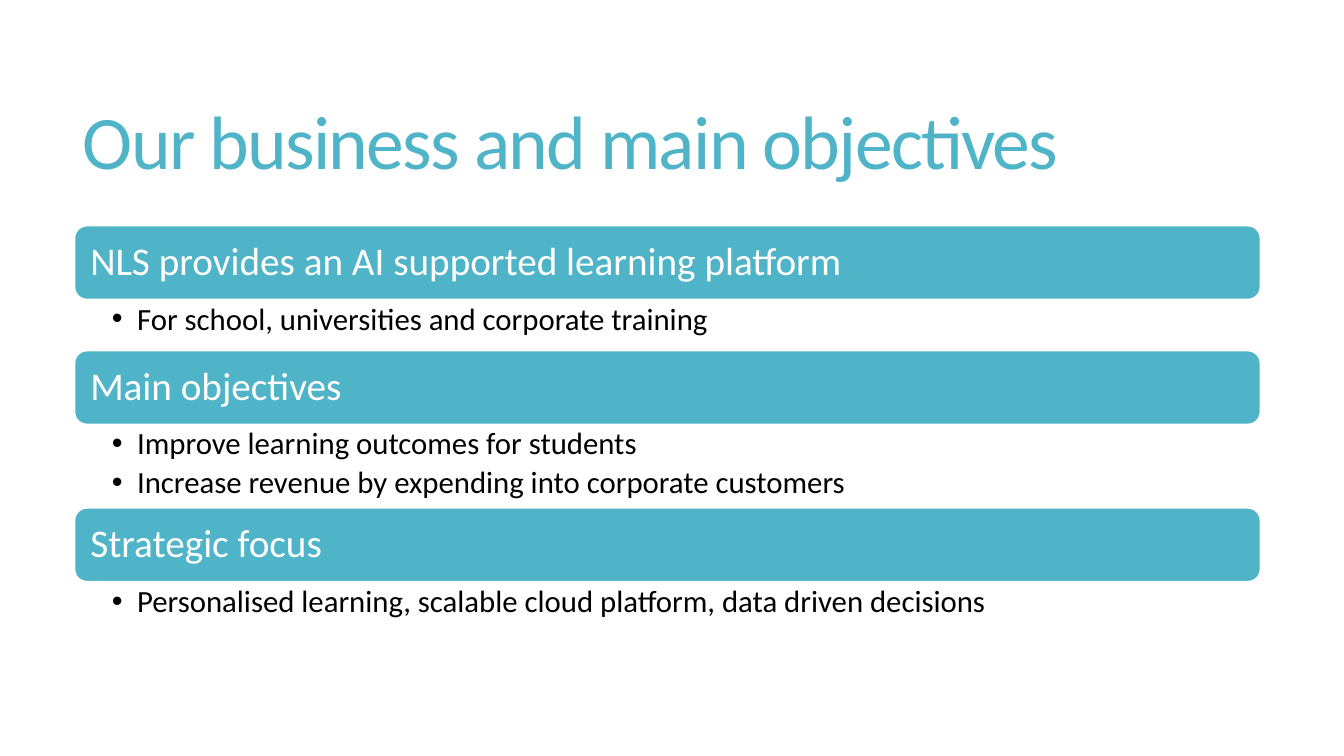
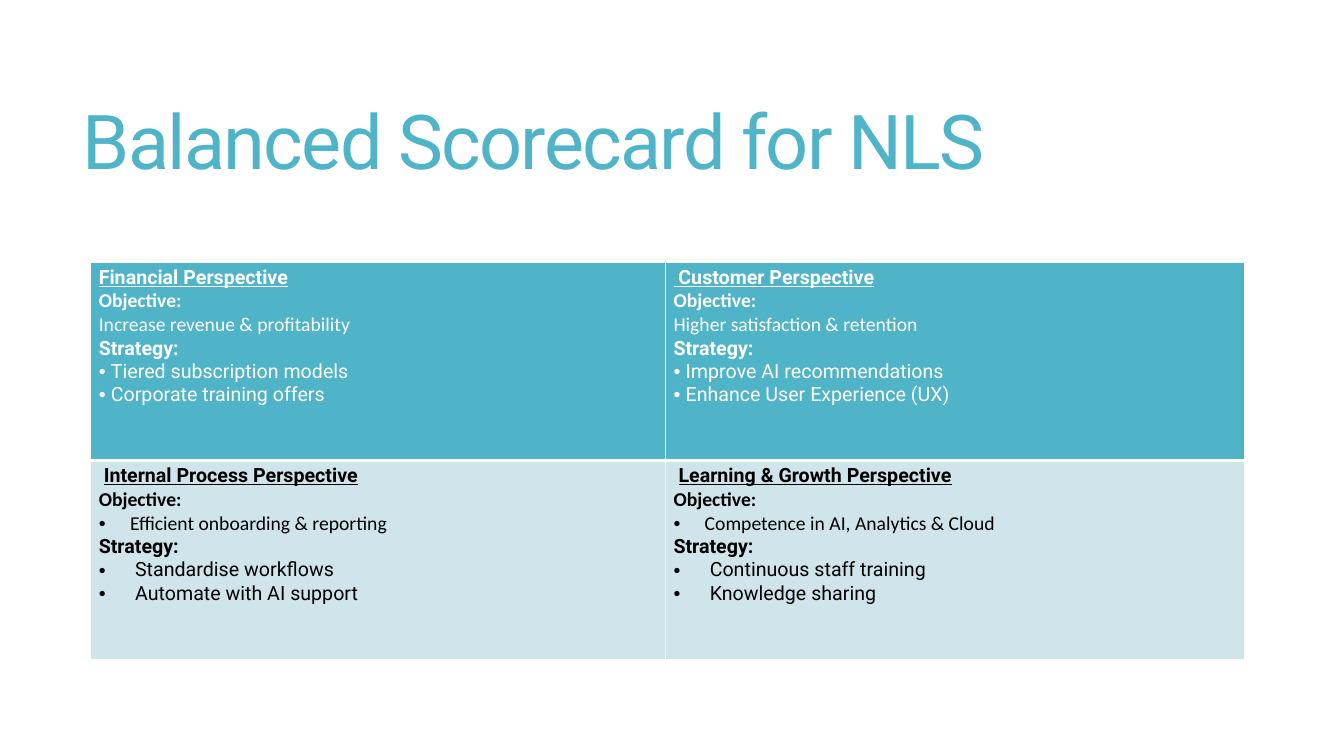
from lxml.etree import SubElement
from pptx import Presentation
from pptx.dml.color import RGBColor
from pptx.enum.shapes import MSO_SHAPE
from pptx.enum.text import MSO_ANCHOR, MSO_AUTO_SIZE, PP_ALIGN
from pptx.oxml.ns import qn
from pptx.util import Inches, Pt

TEAL, PALE, WHITE, BLACK = "50B4C8", "D0E5EB", "FFFFFF", "000000"
SANS, ROBOTO = "Calibri", "Roboto"
TITLE_ONLY = 5

BAND_LEFT, BAND_WIDTH, BAND_HEIGHT = 0.74, 11.76, 0.73
SECTIONS_TOP = 2.24
DETAIL_PADDING, DETAIL_LINE = 0.19, 0.32

SECTIONS = [
    ("NLS provides an AI supported learning platform",
     ["For school, universities and corporate training"]),
    ("Main objectives",
     ["Improve learning outcomes for students",
      "Increase revenue by expending into corporate customers"]),
    ("Strategic focus",
     ["Personalised learning, scalable cloud platform, data driven decisions"]),
]

ROW_STYLES = [
    {"fill": TEAL, "color": WHITE, "heading_indent": 0,
     "objective_indent": 0, "strategy_indent": 0.12, "edges": (1, 3)},
    {"fill": PALE, "color": BLACK, "heading_indent": 0.05,
     "objective_indent": 0.31, "strategy_indent": 0.36, "edges": (3, 1)},
]

SCORECARD = [
    [("Financial Perspective", "Increase revenue & profitability",
      ["Tiered subscription models", "Corporate training offers"]),
     (" Customer Perspective", "Higher satisfaction & retention",
      ["Improve AI recommendations", "Enhance User Experience (UX)"])],
    [("Internal Process Perspective", "Efficient onboarding & reporting",
      ["Standardise workflows", "Automate with AI support"]),
     ("Learning & Growth Perspective", "Competence in AI, Analytics & Cloud",
      ["Continuous staff training", "Knowledge sharing"])],
]


def rgb(value):
    """Turn a hex string into a colour."""
    return RGBColor.from_string(value)


def add_run(paragraph, text, size, color, font=SANS, bold=False, underline=False):
    """Add one formatted run to a paragraph and return it."""
    run = paragraph.add_run()
    run.text = text
    run.font.size = Pt(size)
    run.font.name = font
    run.font.bold = bold
    run.font.underline = underline
    run.font.color.rgb = rgb(color)
    return run


def next_paragraph(frame):
    """Return the untouched first paragraph of a frame, or a new one."""
    first = frame.paragraphs[0]
    return frame.add_paragraph() if first.runs else first


def indent(paragraph, width, bullet=False):
    """Indent a paragraph, with a hanging bullet if wanted."""
    properties = paragraph._p.get_or_add_pPr()
    properties.set("marL", str(Inches(width)))
    if bullet:
        properties.set("indent", str(-Inches(width)))
        SubElement(properties, qn("a:buFont"), typeface="Arial")
        SubElement(properties, qn("a:buChar"), char="•")


def set_insets(frame, left, top, right, bottom):
    """Set the four inner margins of a text frame in inches."""
    frame.margin_left, frame.margin_top = Inches(left), Inches(top)
    frame.margin_right, frame.margin_bottom = Inches(right), Inches(bottom)


def add_titled_slide(deck, text, font):
    """Add a title-only slide with the shared title style."""
    slide = deck.slides.add_slide(deck.slide_layouts[TITLE_ONLY])
    title = slide.shapes.title
    title.left, title.top = Inches(0.72), Inches(0.55)
    title.width, title.height = Inches(11.78), Inches(1.81)
    frame = title.text_frame
    frame.word_wrap = True
    frame.auto_size = MSO_AUTO_SIZE.NONE
    frame.vertical_anchor = MSO_ANCHOR.MIDDLE
    paragraph = frame.paragraphs[0]
    paragraph.alignment = PP_ALIGN.LEFT
    paragraph.line_spacing = 0.85
    run = add_run(paragraph, text, 54, TEAL, font)
    run.font._element.set("spc", "-120")
    return slide


def add_band(slide, top, text):
    """Draw a rounded band that carries a section heading."""
    band = slide.shapes.add_shape(
        MSO_SHAPE.ROUNDED_RECTANGLE, Inches(BAND_LEFT), Inches(top),
        Inches(BAND_WIDTH), Inches(BAND_HEIGHT))
    band.shadow.inherit = False
    band.fill.solid()
    band.fill.fore_color.rgb = rgb(TEAL)
    band.line.color.rgb = rgb(WHITE)
    band.line.width = Pt(1)
    frame = band.text_frame
    frame.word_wrap = True
    frame.vertical_anchor = MSO_ANCHOR.MIDDLE
    set_insets(frame, 0.12, 0.12, 0.12, 0.12)
    paragraph = frame.paragraphs[0]
    paragraph.alignment = PP_ALIGN.LEFT
    paragraph.line_spacing = 0.9
    add_run(paragraph, text, 28, WHITE)


def add_details(slide, top, height, points):
    """Write the bullet points under a band."""
    box = slide.shapes.add_textbox(
        Inches(BAND_LEFT), Inches(top), Inches(BAND_WIDTH), Inches(height))
    frame = box.text_frame
    frame.word_wrap = True
    set_insets(frame, 0.37, 0.04, 0.22, 0.04)
    for point in points:
        paragraph = next_paragraph(frame)
        indent(paragraph, 0.25, bullet=True)
        paragraph.line_spacing = 0.9
        paragraph.space_after = Pt(4)
        add_run(paragraph, point, 22, BLACK)


def add_border(cell, side, width):
    """Draw one white border of a table cell."""
    line = SubElement(cell._tc.get_or_add_tcPr(), qn(f"a:ln{side}"), w=str(Pt(width)))
    fill = SubElement(line, qn("a:solidFill"))
    SubElement(fill, qn("a:srgbClr"), val=WHITE)


def fill_perspective(cell, perspective, style):
    """Format a scorecard cell and write its objective and strategy."""
    heading, objective, strategies = perspective
    top_edge, bottom_edge = style["edges"]
    for side, width in zip("LRTB", (1, 1, top_edge, bottom_edge)):
        add_border(cell, side, width)
    cell.fill.solid()
    cell.fill.fore_color.rgb = rgb(style["fill"])
    set_insets(cell, 0.08, 0.04, 0.08, 0.04)

    def write(text, font, width=0, bullet=False, **emphasis):
        """Write one line of the cell."""
        paragraph = next_paragraph(cell.text_frame)
        indent(paragraph, width, bullet)
        add_run(paragraph, text, 14, style["color"], font, **emphasis)

    objective_indent = style["objective_indent"]
    write(heading, ROBOTO, style["heading_indent"], bold=True, underline=True)
    write("Objective:", SANS, bold=True)
    write(objective, SANS, objective_indent, bullet=objective_indent > 0)
    write("Strategy:", ROBOTO, bold=True)
    for strategy in strategies:
        write(strategy, ROBOTO, style["strategy_indent"], bullet=True)


def add_scorecard(slide):
    """Add the table of the four perspectives."""
    table = slide.shapes.add_table(
        2, 2, Inches(0.9), Inches(2.6), Inches(11.44), Inches(3.94)).table
    table.first_row = table.horz_banding = False
    for column, width in zip(table.columns, (5.7, 5.74)):
        column.width = Inches(width)
    for row, (perspectives, style) in enumerate(zip(SCORECARD, ROW_STYLES)):
        for column, perspective in enumerate(perspectives):
            fill_perspective(table.cell(row, column), perspective, style)


def main():
    """Build both slides and save the deck."""
    deck = Presentation()
    deck.slide_width, deck.slide_height = Inches(13.33), Inches(7.5)

    business = add_titled_slide(deck, "Our business and main objectives", SANS)
    top = SECTIONS_TOP
    for heading, points in SECTIONS:
        height = DETAIL_PADDING + DETAIL_LINE * len(points)
        add_band(business, top, heading)
        add_details(business, top + BAND_HEIGHT, height, points)
        top += BAND_HEIGHT + height

    add_scorecard(add_titled_slide(deck, "Balanced Scorecard for NLS", ROBOTO))
    deck.save("out.pptx")


if __name__ == "__main__":
    main()
